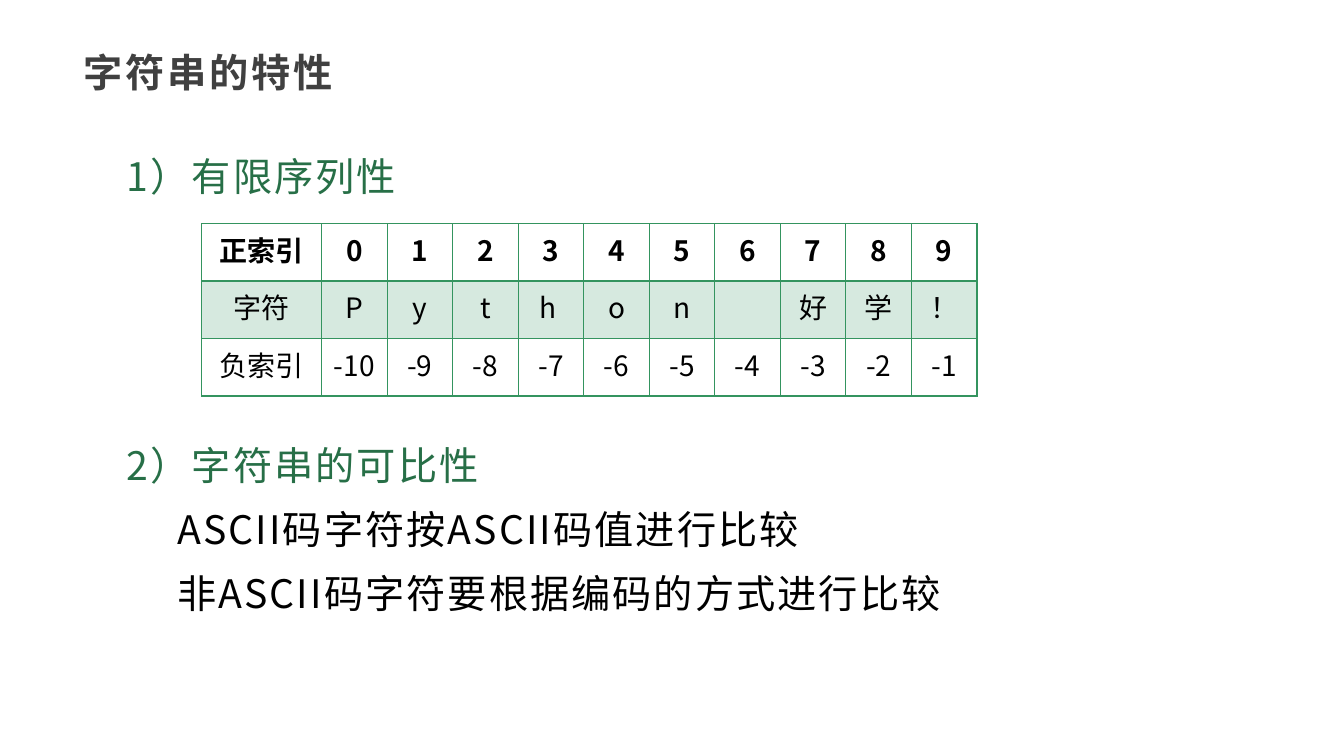
"""Slide on the properties of strings: indexing and comparability."""
from lxml import etree
from pptx import Presentation
from pptx.dml.color import RGBColor
from pptx.enum.text import MSO_ANCHOR, PP_ALIGN
from pptx.oxml.ns import qn
from pptx.util import Inches, Pt

TOP = MSO_ANCHOR.TOP
CENTER, LEFT = PP_ALIGN.CENTER, PP_ALIGN.LEFT
FONT = "Noto Sans CJK SC"
GREEN, HEADING, GRAY, BLACK = "34945F", "276F47", "404040", "000000"

TITLE = "字符串的特性"
BODY = [
    ("1）有限序列性", dict(color=HEADING)),
    ("2）字符串的可比性", dict(color=HEADING, before=161)),
    ("ASCII码字符按ASCII码值进行比较", dict(indent=0.5)),
    ("非ASCII码字符要根据编码的方式进行比较", dict(indent=0.5)),
]
CHARS = ["P", "y", "t", "h ", "o", "n", "", "好", "学", "！"]
COUNT = len(CHARS)
ROWS = [
    ["正索引"] + [str(i) for i in range(COUNT)],
    ["字符"] + CHARS,
    ["负索引"] + [str(i - COUNT) for i in range(COUNT)],
]
LABEL_W, CHAR_W, ROW_H = 1.19, 0.65, 0.57


def rgb(color):
    return RGBColor.from_string(color)


def write(p, text, size=28, color=BLACK, bold=False, spacing=0, align=LEFT,
          indent=0, before=0, after=0, line=1.0):
    p.alignment = align
    p.space_before, p.space_after, p.line_spacing = Pt(before), Pt(after), line
    if indent:
        p._p.get_or_add_pPr().set("indent", str(Inches(indent)))
    p.font.size = Pt(size)
    if not text:
        return
    r = p.add_run()
    r.text = text
    r.font.size, r.font.bold, r.font.name = Pt(size), bold, FONT
    r.font.color.rgb = rgb(color)
    props = r._r.get_or_add_rPr()
    props.set("spc", str(int(spacing * 100)))
    etree.SubElement(props, qn("a:ea")).set("typeface", FONT)


def add_box(s, left, top, width, height):
    tf = s.shapes.add_textbox(*map(Inches, (left, top, width, height))).text_frame
    tf.word_wrap = True
    tf.vertical_anchor = TOP
    return tf


def set_borders(cell, widths):
    props = cell._tc.get_or_add_tcPr()
    for i, (side, width) in enumerate(widths.items()):
        ln = etree.Element(qn("a:ln" + side), w=str(Pt(width)))
        fill = etree.SubElement(ln, qn("a:solidFill"))
        etree.SubElement(fill, qn("a:srgbClr")).set("val", GREEN)
        props.insert(i, ln)


def tint(cell, color, percent):
    cell.fill.solid()
    cell.fill.fore_color.rgb = rgb(color)
    clr = cell._tc.tcPr.find(qn("a:solidFill")).find(qn("a:srgbClr"))
    etree.SubElement(clr, qn("a:alpha")).set("val", str(percent * 1000))


def add_index_table(s, left, top):
    width = LABEL_W + COUNT * CHAR_W
    table = s.shapes.add_table(len(ROWS), COUNT + 1, Inches(left), Inches(top),
                               Inches(width), Inches(ROW_H * len(ROWS))).table
    table.first_row = table.horz_banding = False
    for i, column in enumerate(table.columns):
        column.width = Inches(CHAR_W if i else LABEL_W)
    for y, texts in enumerate(ROWS):
        table.rows[y].height = Inches(ROW_H)
        for x, text in enumerate(texts):
            cell = table.cell(y, x)
            cell.vertical_anchor = TOP
            write(cell.text_frame.paragraphs[0], text, size=20, bold=y == 0, align=CENTER)
            set_borders(cell, {"L": 1, "R": 1, "T": 2 if y == 1 else 1, "B": 2 if y == 0 else 1})
            if y == 1:
                tint(cell, GREEN, 20)
            else:
                cell.fill.background()


prs = Presentation()
prs.slide_width, prs.slide_height = Inches(13.33), Inches(7.5)
s = prs.slides.add_slide(prs.slide_layouts[6])

tf = add_box(s, 0.73, 0.48, 11.87, 0.48)
tf.margin_top = 0
write(tf.paragraphs[0], TITLE, color=GRAY, bold=True, spacing=2)

tf = add_box(s, 1.16, 1.39, 10.78, 5.55)
for i, (text, style) in enumerate(BODY):
    p = tf.add_paragraph() if i else tf.paragraphs[0]
    write(p, text, spacing=1.5, after=7, line=1.15, **style)

add_index_table(s, 2, 2.22)
prs.save("out.pptx")
